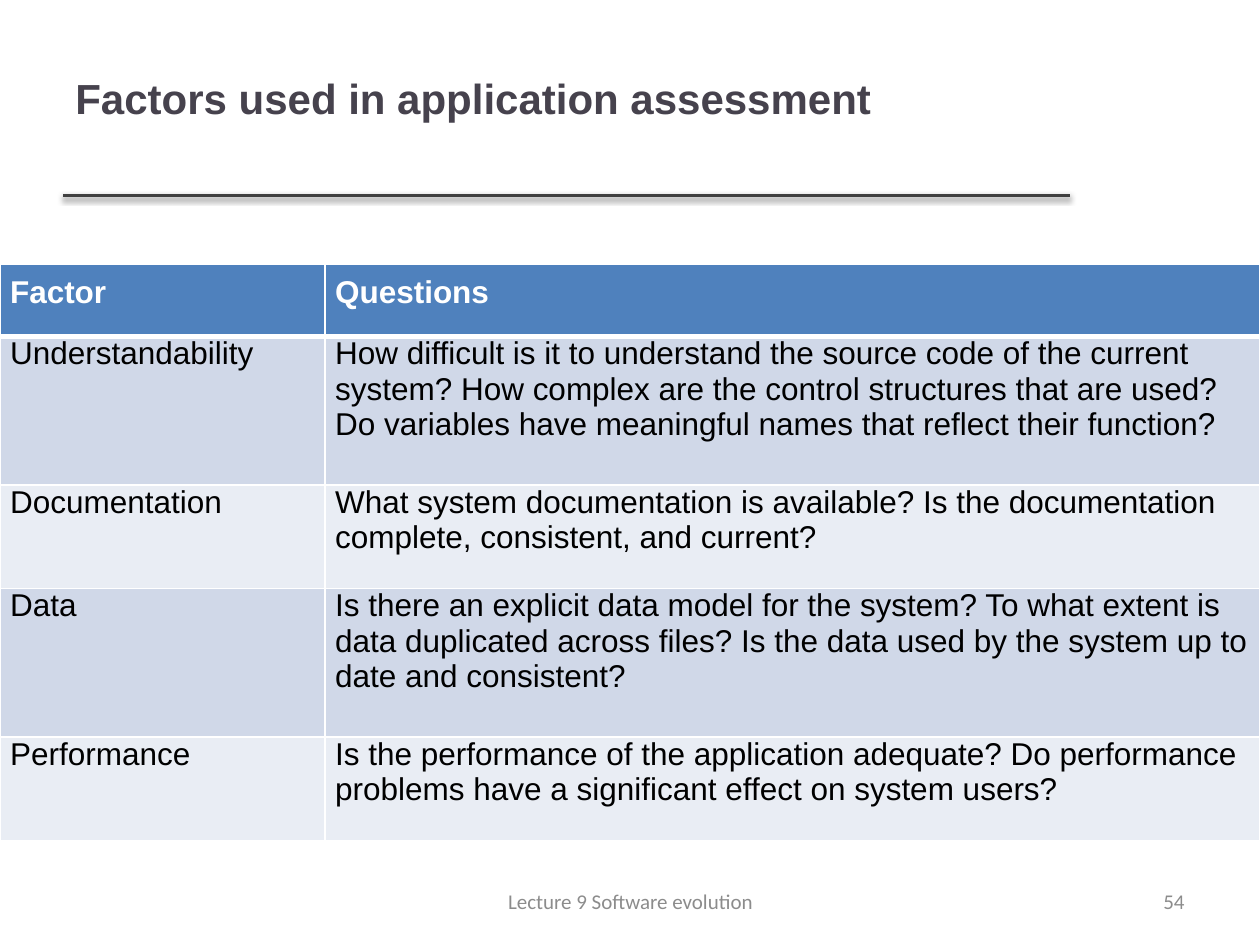
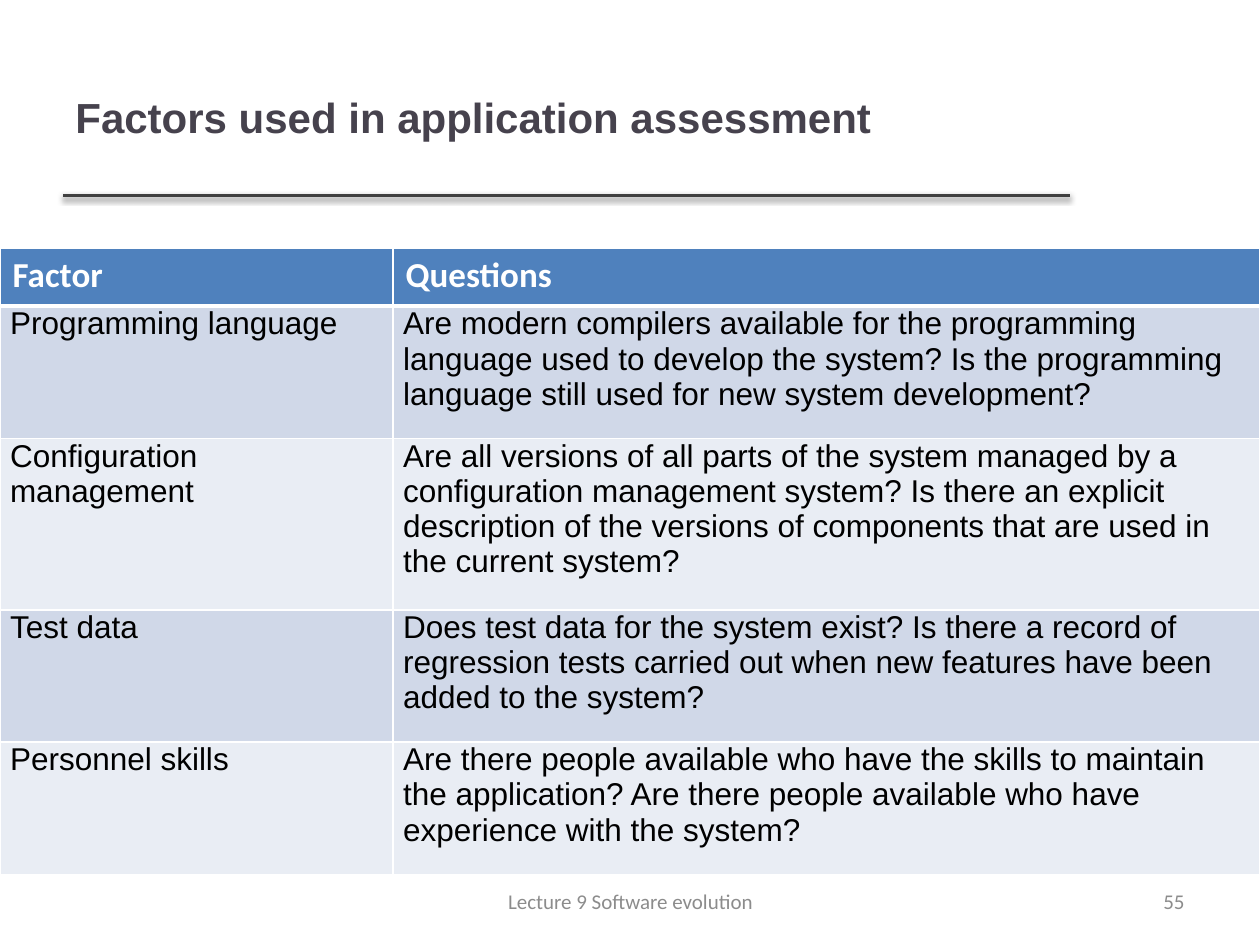
from lxml.etree import SubElement
from pptx import Presentation
from pptx.dml.color import RGBColor
from pptx.enum.shapes import MSO_CONNECTOR
from pptx.enum.text import MSO_ANCHOR, PP_ALIGN
from pptx.oxml.ns import qn
from pptx.util import Inches, Pt

WHITE = RGBColor(0xFF, 0xFF, 0xFF)
BLACK = RGBColor(0x00, 0x00, 0x00)
TITLE_INK = RGBColor(0x46, 0x42, 0x4D)
RULE_INK = RGBColor(0x40, 0x40, 0x40)
FOOTER_INK = RGBColor(0x8C, 0x8C, 0x8C)
HEADER_BLUE = RGBColor(0x4F, 0x81, 0xBD)
BANDS = (RGBColor(0xD0, 0xD8, 0xE8), RGBColor(0xE9, 0xED, 0xF4))

SLIDE_WIDTH = Inches(10)
SLIDE_HEIGHT = Inches(7.5)
GRID_COLUMNS = 100
CELL_MARGIN = 0.8

TITLE = "Factors used in application assessment"
FOOTER = "Lecture 9 Software evolution"
HEADINGS = ("Factor", "Questions")

QUALITY_FACTORS = (
    ("Understandability",
     "How difficult is it to understand the source code of the current system? "
     "How complex are the control structures that are used? "
     "Do variables have meaningful names that reflect their function?"),
    ("Documentation",
     "What system documentation is available? "
     "Is the documentation complete, consistent, and current?"),
    ("Data",
     "Is there an explicit data model for the system? "
     "To what extent is data duplicated across files? "
     "Is the data used by the system up to date and consistent?"),
    ("Performance",
     "Is the performance of the application adequate? "
     "Do performance problems have a significant effect on system users?"),
)

SUPPORT_FACTORS = (
    ("Programming language",
     "Are modern compilers available for the programming language used to "
     "develop the system? Is the programming language still used for new "
     "system development?"),
    ("Configuration management",
     "Are all versions of all parts of the system managed by a configuration "
     "management system? Is there an explicit description of the versions of "
     "components that are used in the current system?"),
    ("Test data",
     "Does test data for the system exist? Is there a record of regression "
     "tests carried out when new features have been added to the system?"),
    ("Personnel skills",
     "Are there people available who have the skills to maintain the "
     "application? Are there people available who have experience with the "
     "system?"),
)


def grid(units):
    return round(SLIDE_WIDTH * units / GRID_COLUMNS)


def write(frame, text, size, font, color, bold=False, align=PP_ALIGN.LEFT):
    para = frame.paragraphs[0]
    para.alignment = align
    span = para.add_run()
    span.text = text
    span.font.size = Pt(size)
    span.font.name = font
    span.font.bold = bold
    span.font.color.rgb = color
    return para


def add_text(page, area, text, *style, **options):
    box = page.shapes.add_textbox(*map(grid, area))
    box.text_frame.word_wrap = True
    box.text_frame.vertical_anchor = MSO_ANCHOR.MIDDLE
    write(box.text_frame, text, *style, **options)


def add_color(parent, color):
    fill = SubElement(parent, qn("a:solidFill"))
    return SubElement(fill, qn("a:srgbClr"), val=str(color))


def add_title_rule(page):
    rule = page.shapes.add_connector(
        MSO_CONNECTOR.STRAIGHT, grid(5), grid(15.5), grid(84.9), grid(15.5))
    rule.line.color.rgb = RULE_INK
    rule.line.width = Pt(2)
    effects = SubElement(rule.line._get_or_add_ln().getparent(), qn("a:effectLst"))
    shadow = SubElement(effects, qn("a:outerShdw"), blurRad=str(Pt(3.1)),
                        dist=str(Pt(1.6)), dir="5400000", rotWithShape="0")
    shade = SubElement(shadow, qn("a:srgbClr"), val=str(BLACK))
    SubElement(shade, qn("a:alpha"), val="38000")


def add_borders(cell, top, bottom):
    properties = cell._tc.get_or_add_tcPr()
    widths = {"a:lnL": 1, "a:lnR": 1, "a:lnT": top, "a:lnB": bottom}
    for position, (side, width) in enumerate(widths.items()):
        border = SubElement(properties, qn(side), w=str(Pt(width)))
        add_color(border, WHITE)
        properties.insert(position, border)


def fill_cell(cell, text, row, header_style):
    is_header = row == 0
    cell.fill.solid()
    cell.fill.fore_color.rgb = HEADER_BLUE if is_header else BANDS[(row - 1) % 2]
    add_borders(cell, 3 if row == 1 else 1, 3 if is_header else 1)
    size, font, header_spaced = header_style if is_header else (18, "Arial", True)
    para = write(cell.text_frame, text, size, font,
                 WHITE if is_header else BLACK, bold=is_header)
    if header_spaced:
        para.space_after = Pt(6)
        cell.margin_left = cell.margin_right = cell.margin_bottom = grid(CELL_MARGIN)
        cell.margin_top = grid(CELL_MARGIN if is_header else 0)


def add_factor_table(page, top, columns, heights, factors, header_style):
    rows = (HEADINGS, *factors)
    table = page.shapes.add_table(
        len(rows), len(columns), 0, grid(top), SLIDE_WIDTH, grid(sum(heights))).table
    for column, width in zip(table.columns, columns):
        column.width = grid(width)
    for row, (texts, height) in enumerate(zip(rows, heights)):
        table.rows[row].height = grid(height)
        for column, text in enumerate(texts):
            fill_cell(table.cell(row, column), text, row, header_style)


def add_page(deck, number, title_area):
    page = deck.slides.add_slide(deck.slide_layouts[6])
    add_title_rule(page)
    add_text(page, title_area, TITLE, 24, "Arial", TITLE_INK, bold=True)
    footer_style = (12, "Calibri", FOOTER_INK)
    add_text(page, (71.7, 69.5, 23.3, 4), str(number), *footer_style,
             align=PP_ALIGN.RIGHT)
    add_text(page, (34.2, 69.5, 31.7, 4), FOOTER, *footer_style,
             align=PP_ALIGN.CENTER)
    return page


def main():
    deck = Presentation()
    deck.slide_width = SLIDE_WIDTH
    deck.slide_height = SLIDE_HEIGHT

    quality_page = add_page(deck, 54, (5, 1.5, 90, 12.5))
    add_factor_table(quality_page, 21, (25.8, 74.2), (5.7, 11.8, 8.2, 11.8, 8.2),
                     QUALITY_FACTORS, (18, "Arial", True))

    support_page = add_page(deck, 55, (5, 3, 79.8, 12.5))
    add_factor_table(support_page, 19.7, (31.2, 68.8), (4.6, 10.5, 13.6, 10.5, 10.5),
                     SUPPORT_FACTORS, (20, "Calibri", False))

    deck.save("out.pptx")


if __name__ == "__main__":
    main()
